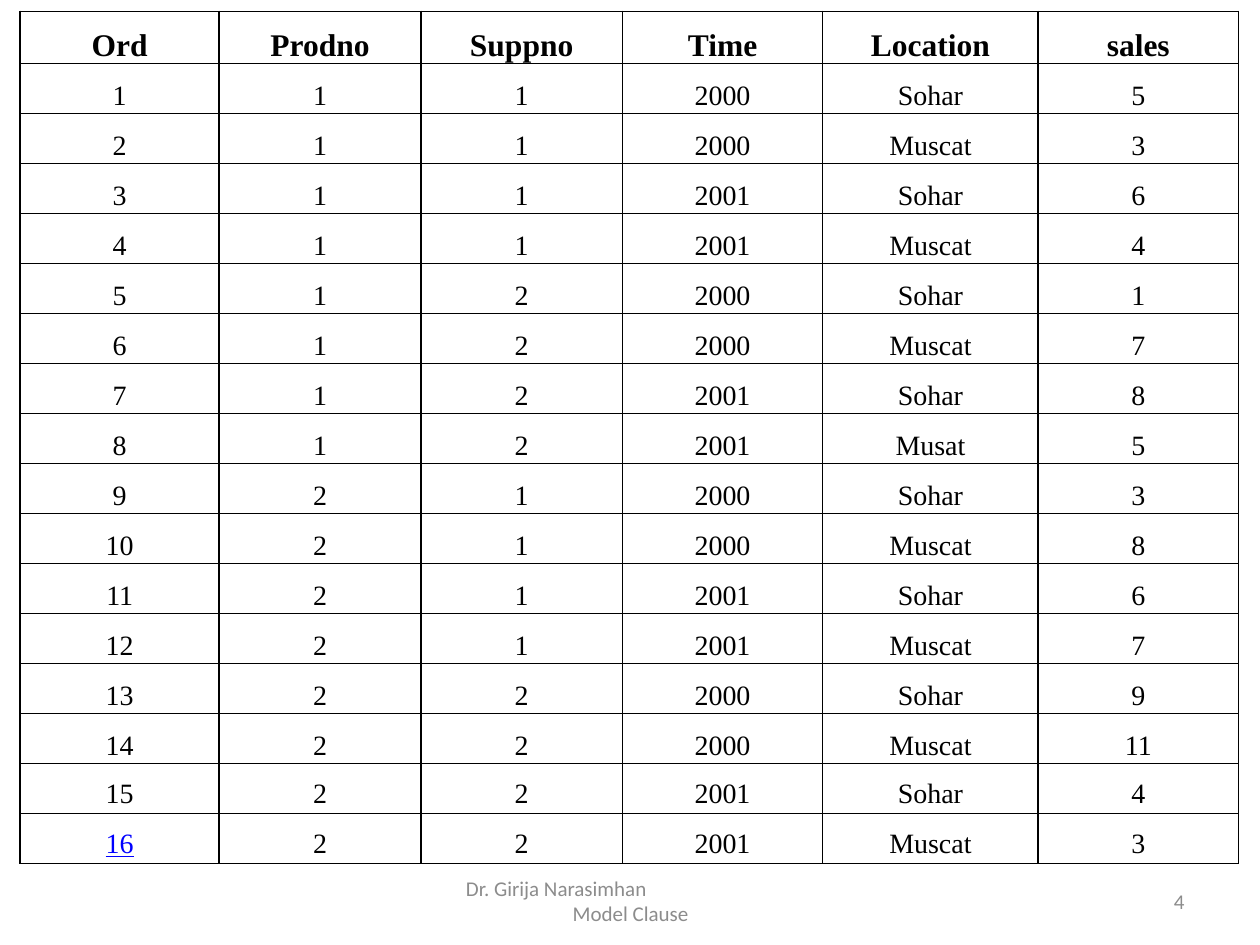
"""Build a slide with a table of sales by product, supplier, time and location."""
from lxml.etree import SubElement
from pptx import Presentation
from pptx.dml.color import RGBColor
from pptx.enum.text import MSO_ANCHOR, PP_ALIGN
from pptx.oxml.ns import qn
from pptx.util import Inches, Pt

THEME = {
    "ink": "000000", "paper": "FFFFFF", "muted": "8C8C8C", "link": "0000FF",
    "table_font": "Times New Roman", "footer_font": "Calibri",
    "header_size": 18, "body_size": 16, "footer_size": 12, "border": 1,
    "header_spacing": 1.38, "body_spacing": 1.48,
}
HEADER = ("Ord", "Prodno", "Suppno", "Time", "Location", "sales")
SALES = [
    (1, 1, 1, 2000, "Sohar", 5),
    (2, 1, 1, 2000, "Muscat", 3),
    (3, 1, 1, 2001, "Sohar", 6),
    (4, 1, 1, 2001, "Muscat", 4),
    (5, 1, 2, 2000, "Sohar", 1),
    (6, 1, 2, 2000, "Muscat", 7),
    (7, 1, 2, 2001, "Sohar", 8),
    (8, 1, 2, 2001, "Musat", 5),
    (9, 2, 1, 2000, "Sohar", 3),
    (10, 2, 1, 2000, "Muscat", 8),
    (11, 2, 1, 2001, "Sohar", 6),
    (12, 2, 1, 2001, "Muscat", 7),
    (13, 2, 2, 2000, "Sohar", 9),
    (14, 2, 2, 2000, "Muscat", 11),
    (15, 2, 2, 2001, "Sohar", 4),
    (16, 2, 2, 2001, "Muscat", 3),
]
LINKED_ORDER = 16
FIRST_TOP_ANCHORED_ORDER = 15
COLUMN_WIDTHS = (1.58, 1.6, 1.6, 1.59, 1.71, 1.59)
TABLE_LEFT, TABLE_TOP = 0.16, 0.09
HEADER_HEIGHT, BODY_HEIGHT = 0.41, 6.35
FOOTER_TOP, FOOTER_HEIGHT = 6.95, 0.4
FOOTERS = [
    (7.17, 2.33, [("4", PP_ALIGN.RIGHT, 0)]),
    (3.42, 3.17, [("Dr. Girija Narasimhan", PP_ALIGN.LEFT, 0.18),
                  ("Model Clause", PP_ALIGN.CENTER, 0)]),
]


def color(name):
    return RGBColor.from_string(THEME[name])


def add_run(paragraph, text, font_name, size, ink, bold=False, underline=False):
    run = paragraph.add_run()
    run.text = text
    font = run.font
    font.name, font.size = THEME[font_name], Pt(THEME[size])
    font.bold, font.underline = bold, underline
    font.color.rgb = color(ink)


def add_borders(cell):
    properties = cell._tc.get_or_add_tcPr()
    for index, side in enumerate(("lnL", "lnR", "lnT", "lnB")):
        line = properties.makeelement(qn(f"a:{side}"), {"w": str(Pt(THEME["border"]))})
        fill = SubElement(line, qn("a:solidFill"))
        SubElement(fill, qn("a:srgbClr"), val=THEME["ink"])
        properties.insert(index, line)


def row_anchor(order):
    if order == 0:
        return MSO_ANCHOR.BOTTOM
    return MSO_ANCHOR.TOP if order >= FIRST_TOP_ANCHORED_ORDER else MSO_ANCHOR.MIDDLE


def fill_cell(cell, value, order):
    kind = "body" if order else "header"
    is_link = order == LINKED_ORDER and value == LINKED_ORDER
    cell.fill.solid()
    cell.fill.fore_color.rgb = color("paper")
    cell.margin_left = cell.margin_right = Inches(0.05)
    cell.margin_top = cell.margin_bottom = 0
    cell.vertical_anchor = row_anchor(order)
    paragraph = cell.text_frame.paragraphs[0]
    paragraph.alignment = PP_ALIGN.CENTER
    paragraph.line_spacing = THEME[f"{kind}_spacing"]
    add_run(paragraph, str(value), "table_font", f"{kind}_size",
            "link" if is_link else "ink", order == 0, is_link)
    add_borders(cell)


def add_sales_table(slide):
    rows = [HEADER, *SALES]
    table = slide.shapes.add_table(
        len(rows), len(HEADER), Inches(TABLE_LEFT), Inches(TABLE_TOP),
        Inches(sum(COLUMN_WIDTHS)), Inches(HEADER_HEIGHT + BODY_HEIGHT)).table
    for column, width in zip(table.columns, COLUMN_WIDTHS):
        column.width = Inches(width)
    for order, values in enumerate(rows):
        height = BODY_HEIGHT / len(SALES) if order else HEADER_HEIGHT
        table.rows[order].height = Inches(height)
        for cell, value in zip(table.rows[order].cells, values):
            fill_cell(cell, value, order)


def add_footer(slide, left, width, lines):
    shape = slide.shapes.add_textbox(
        Inches(left), Inches(FOOTER_TOP), Inches(width), Inches(FOOTER_HEIGHT))
    frame = shape.text_frame
    frame.word_wrap = True
    frame.vertical_anchor = MSO_ANCHOR.MIDDLE
    for index, (text, alignment, indent) in enumerate(lines):
        paragraph = frame.add_paragraph() if index else frame.paragraphs[0]
        paragraph.alignment = alignment
        paragraph._p.get_or_add_pPr().set("marL", str(Inches(indent)))
        add_run(paragraph, text, "footer_font", "footer_size", "muted")


def main():
    presentation = Presentation()
    presentation.slide_width, presentation.slide_height = Inches(10), Inches(7.5)
    slide = presentation.slides.add_slide(presentation.slide_layouts[6])
    for left, width, lines in FOOTERS:
        add_footer(slide, left, width, lines)
    add_sales_table(slide)
    presentation.save("out.pptx")


if __name__ == "__main__":
    main()
